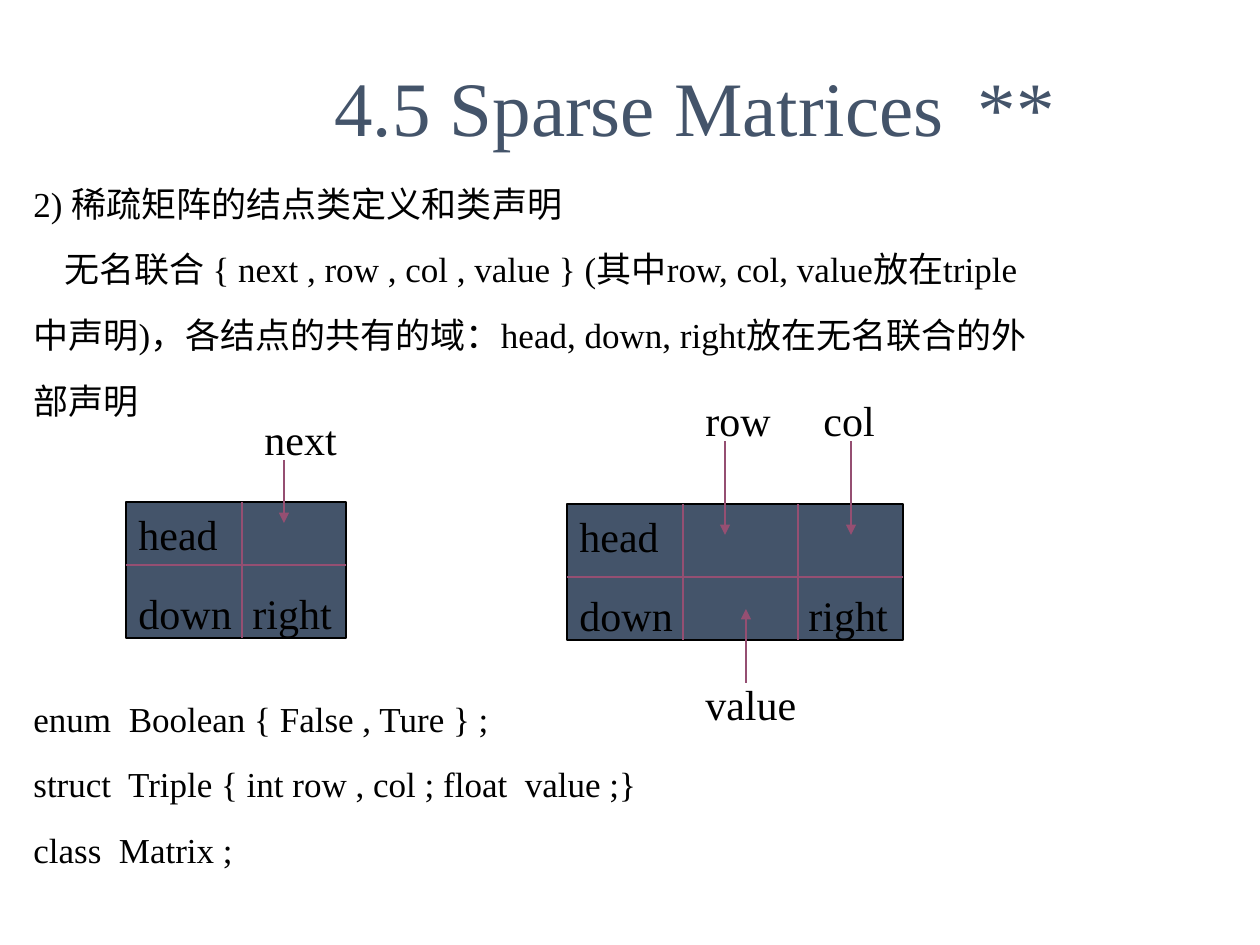
from lxml import etree
from pptx import Presentation
from pptx.dml.color import RGBColor
from pptx.enum.shapes import MSO_CONNECTOR, MSO_SHAPE
from pptx.enum.text import MSO_AUTO_SIZE
from pptx.oxml.ns import qn
from pptx.util import Emu, Pt

STRAIGHT = MSO_CONNECTOR.STRAIGHT
RECTANGLE = MSO_SHAPE.RECTANGLE
FIT_SHAPE = MSO_AUTO_SIZE.SHAPE_TO_FIT_TEXT
PX_PER_INCH = 126
COLORS = {"ink": "000000", "slate": "44546A", "plum": "954F72"}


def px(length):
    return Emu(round(length * 914400 / PX_PER_INCH))


def color(name):
    return RGBColor.from_string(COLORS[name])


class Painter:
    font = "Times New Roman"
    line_width = Pt(0.75)

    def __init__(self, page):
        self.page = page

    def text(self, left, top, width, height, lines, size=24, ink="ink",
             gap=16.5, tab=None, indents=None):
        box = self.page.shapes.add_textbox(px(left), px(top), px(width), px(height))
        frame = box.text_frame
        frame.word_wrap = True
        frame.auto_size = FIT_SHAPE
        frame.text = "\n".join(lines)
        for index, para in enumerate(frame.paragraphs):
            if index:
                para.space_before = Pt(gap)
            properties = para._p.get_or_add_pPr()
            if indents and index in indents:
                properties.set("indent", str(px(indents[index])))
            if tab:
                stops = etree.SubElement(properties, qn("a:tabLst"))
                etree.SubElement(stops, qn("a:tab"), pos=str(px(tab)), algn="l")
            for span in para.runs:
                span.font.name = self.font
                span.font.size = Pt(size)
                span.font.color.rgb = color(ink)

    def rectangle(self, left, top, width, height):
        shape = self.page.shapes.add_shape(
            RECTANGLE, px(left), px(top), px(width), px(height))
        shape.shadow.inherit = False
        shape.fill.solid()
        shape.fill.fore_color.rgb = color("slate")
        shape.line.color.rgb = color("ink")
        shape.line.width = self.line_width

    def line(self, x1, y1, x2, y2, arrow=False):
        connector = self.page.shapes.add_connector(
            STRAIGHT, px(x1), px(y1), px(x2), px(y2))
        connector.line.color.rgb = color("plum")
        connector.line.width = self.line_width
        if arrow:
            etree.SubElement(connector.line._get_or_add_ln(), qn("a:tailEnd"),
                             type="triangle")
        etree.SubElement(connector._element.spPr, qn("a:effectLst"))

    def node(self, left, top, width, row_line, column_lines, tab):
        height = 136
        self.rectangle(left, top, width, height)
        self.text(left, top, width, height + 4, ["head", "down\tright"], tab=tab)
        self.line(left, row_line, left + width, row_line)
        for x in column_lines:
            self.line(x, top, x, top + height)


def main():
    deck = Presentation()
    deck.slide_width, deck.slide_height = px(1260), px(945)
    page = deck.slides.add_slide(deck.slide_layouts[6])
    painter = Painter(page)

    painter.text(21, 176, 1218, 247, [
        "2) 稀疏矩阵的结点类定义和类声明",
        "无名联合 { next , row , col , value } (其中row, col, value放在triple",
        "中声明)，各结点的共有的域：head, down, right放在无名联合的外",
        "部声明",
    ], size=20, gap=13.5, indents={1: 31})

    painter.node(126, 502, 220, 565, [242], tab=114)
    painter.text(252, 407, 105, 63, ["next"])
    painter.line(284, 460, 284, 523, arrow=True)

    painter.node(567, 504, 336, 577, [683, 798], tab=229)
    painter.text(693, 388, 220, 63, ["row\tcol"], tab=118)
    for x in (725, 851):
        painter.line(x, 441, x, 535, arrow=True)
    painter.text(693, 672, 126, 63, ["value"])
    painter.line(746, 683, 746, 609, arrow=True)

    painter.text(21, 691, 1218, 183, [
        "enum  Boolean { False , Ture } ;",
        "struct  Triple { int row , col ; float  value ;}",
        "class  Matrix ;",
    ], size=20, gap=13.5)
    painter.text(168, 53, 976, 106, ["4.5 Sparse Matrices\t**"], size=44,
                 ink="slate", tab=803, indents={0: 154})

    deck.save("out.pptx")


if __name__ == "__main__":
    main()
